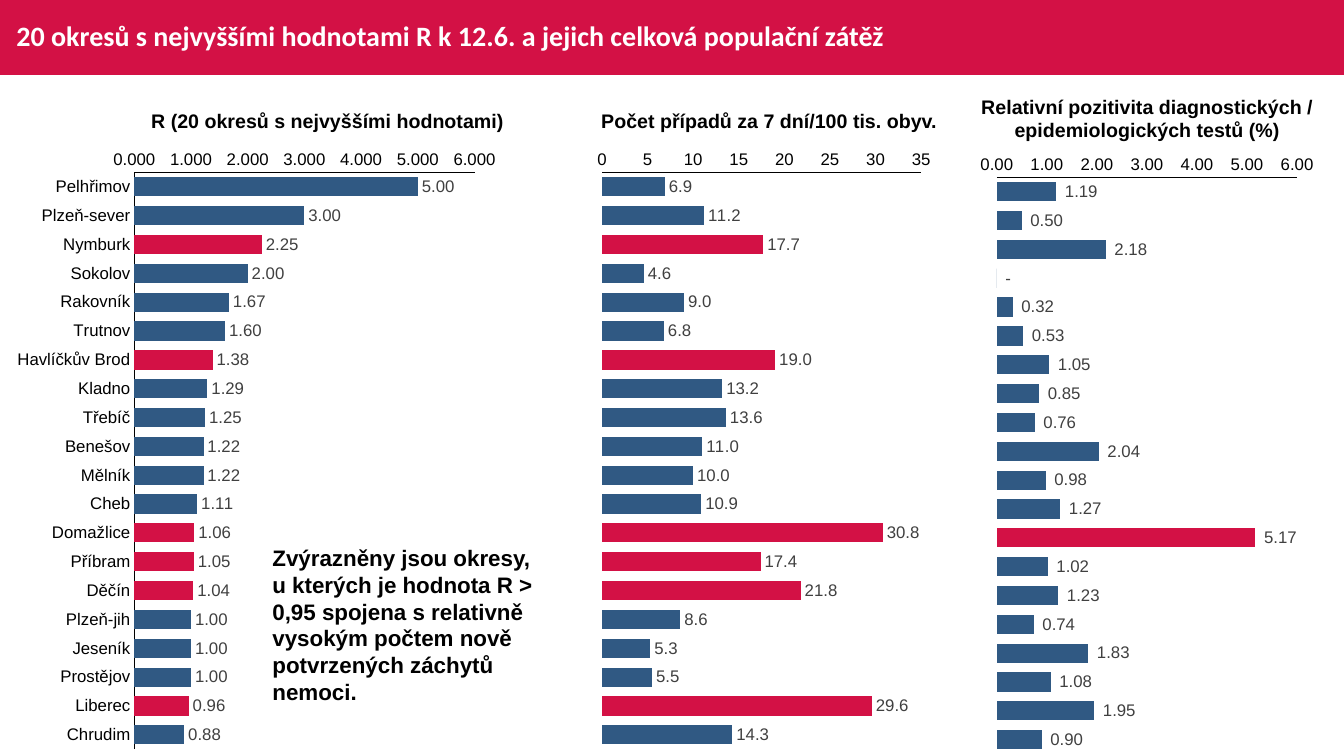
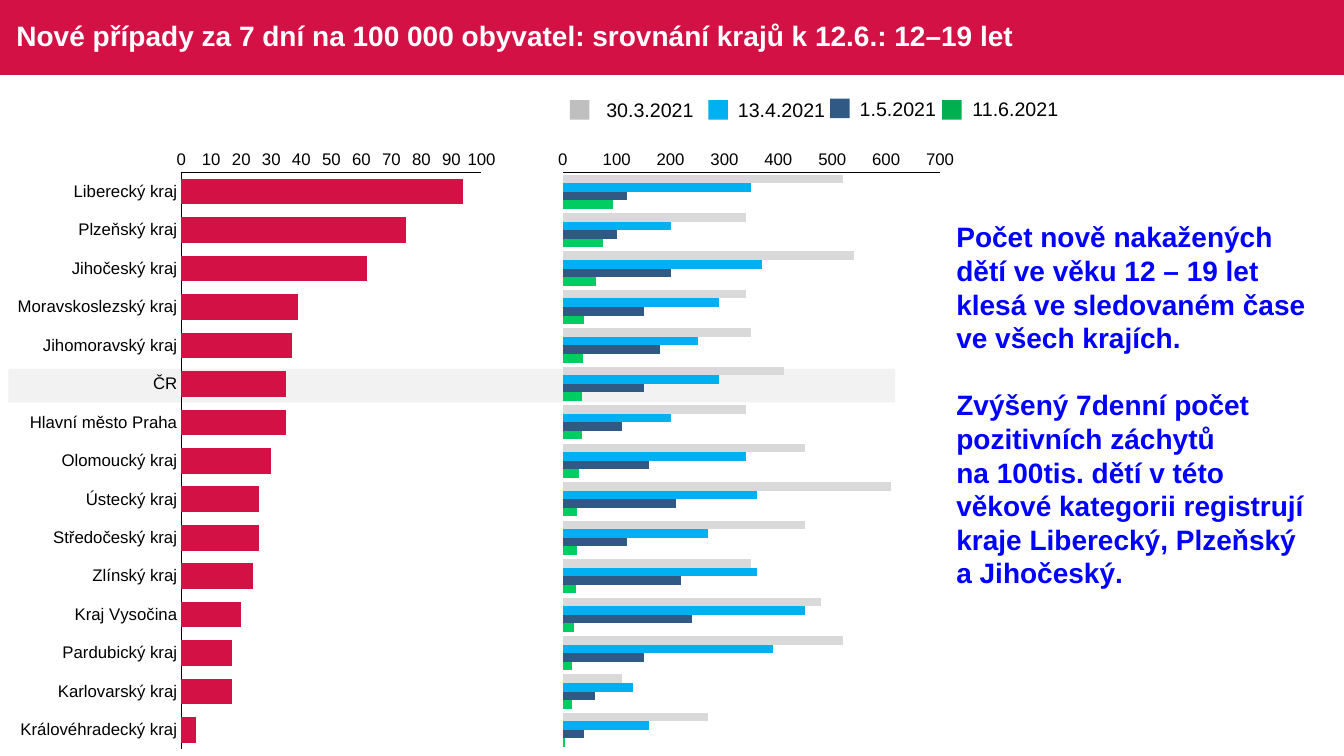
"""Build two slides comparing Czech districts and regions by COVID-19 burden."""
import pptx
import pptx.chart.data
import pptx.dml.color
import pptx.enum.chart
import pptx.enum.shapes
import pptx.enum.text
import pptx.oxml
import pptx.oxml.ns
import pptx.util

Pt = pptx.util.Pt
qn = pptx.oxml.ns.qn
COLORS = {
    name: pptx.dml.color.RGBColor.from_string(value)
    for name, value in {
        "crimson": "D31145", "navy": "305983", "sky": "00B0F0",
        "silver": "D9D9D9", "gray": "BFBFBF", "lime": "00CD61",
        "green": "00B050", "stripe": "F2F2F2", "label": "404040",
        "black": "000000", "white": "FFFFFF", "blue": "0000FF",
    }.items()
}
NS = 'xmlns:c="http://schemas.openxmlformats.org/drawingml/2006/chart"'
NS_A = 'xmlns:a="http://schemas.openxmlformats.org/drawingml/2006/main"'
PLOT_DROP, PLOT_HEIGHT, CHART_HEIGHT = 24.2, 412, 446


def add_text(slide, box, paragraphs, size, color="black", bold=True,
             align="LEFT", wrap=True, gap=0):
    """Add a text box whose paragraphs share one style."""
    frame = slide.shapes.add_textbox(*map(Pt, box)).text_frame
    frame.word_wrap = wrap
    frame.text = "\n".join(paragraphs)
    for index, paragraph in enumerate(frame.paragraphs):
        paragraph.alignment = getattr(pptx.enum.text.PP_ALIGN, align)
        if index and gap:
            paragraph.space_before = Pt(gap)
        paragraph.font.name = "Arial"
        paragraph.font.size = Pt(size)
        paragraph.font.bold = bold
        paragraph.font.color.rgb = COLORS[color]


def add_bars(slide, frame, plot, categories, series, maximum, unit,
             axis_format="General", show_names=True, label_format=None,
             highlights=()):
    """Add a horizontal bar chart; frame is left, top, width, plot is left, width."""
    data = pptx.chart.data.CategoryChartData()
    data.categories = categories
    for name, color, values in series:
        data.add_series(name, values)
    left, top, width = frame
    chart = slide.shapes.add_chart(
        pptx.enum.chart.XL_CHART_TYPE.BAR_CLUSTERED,
        Pt(left), Pt(top), Pt(width), Pt(CHART_HEIGHT), data).chart
    chart.has_legend = False
    chart.has_title = False
    chart.font.name = "Arial"
    chart.font.size = Pt(12)
    chart.font.color.rgb = COLORS["black"]

    for axis in (chart.category_axis, chart.value_axis):
        axis.major_tick_mark = pptx.enum.chart.XL_TICK_MARK.NONE
        axis.minor_tick_mark = pptx.enum.chart.XL_TICK_MARK.NONE
        axis.has_major_gridlines = False
        axis.format.line.color.rgb = COLORS["black"]
        axis.format.line.width = Pt(0.75)
    chart.category_axis.reverse_order = True
    chart.category_axis.visible = show_names
    chart.value_axis.minimum_scale = 0
    chart.value_axis.maximum_scale = maximum
    chart.value_axis.major_unit = unit
    chart.value_axis.tick_labels.number_format = axis_format
    chart.value_axis.tick_labels.number_format_is_linked = False

    bars = chart.plots[0]
    bars.gap_width = 50
    bars.overlap = 0
    bars.vary_by_categories = False
    for bar, (name, color, values) in zip(bars.series, series):
        bar.invert_if_negative = False
        bar.format.fill.solid()
        bar.format.fill.fore_color.rgb = COLORS[color]
        for index in highlights:
            fill = bar.points[index].format.fill
            fill.solid()
            fill.fore_color.rgb = COLORS["crimson"]
        if label_format:
            labels = bar.data_labels
            labels.show_value = True
            labels.number_format = label_format
            labels.number_format_is_linked = False
            labels.position = pptx.enum.chart.XL_LABEL_POSITION.OUTSIDE_END
            labels.font.name = "Arial"
            labels.font.size = Pt(12)
            labels.font.color.rgb = COLORS["label"]

    shares = {
        "x": (plot[0] - left) / width, "y": PLOT_DROP / CHART_HEIGHT,
        "w": plot[1] / width, "h": PLOT_HEIGHT / CHART_HEIGHT,
    }
    layout_parts = "".join(
        f'<c:{key} val="{share:.4f}"/>' for key, share in shares.items())
    chart_body = chart.element.find(qn("c:chart"))
    plot_area = chart_body.find(qn("c:plotArea"))
    for old_layout in plot_area.findall(qn("c:layout")):
        plot_area.remove(old_layout)
    plot_area.insert(0, pptx.oxml.parse_xml(
        f'<c:layout {NS}><c:manualLayout><c:layoutTarget val="inner"/>'
        f'<c:xMode val="edge"/><c:yMode val="edge"/>{layout_parts}'
        '</c:manualLayout></c:layout>'))
    chart_body.addnext(pptx.oxml.parse_xml(
        f'<c:spPr {NS} {NS_A}><a:noFill/><a:ln><a:noFill/></a:ln></c:spPr>'))


deck = pptx.Presentation()
deck.slide_width, deck.slide_height = Pt(960), Pt(540)
title_layout = deck.slide_layouts[5]
heading = title_layout.placeholders[0]
heading.left, heading.top, heading.width, heading.height = map(Pt, (4.5, 0, 865, 53.5))

slides = []
for text, font_name in (
    ("20 okresů s nejvyššími hodnotami R k 12.6. a jejich celková populační zátěž", "Calibri"),
    ("Nové případy za 7 dní na 100 000 obyvatel: srovnání krajů k 12.6.: 12–19 let", "Arial"),
):
    slide = deck.slides.add_slide(title_layout)
    title = slide.shapes.title.text_frame
    title.text = text
    title.auto_size = pptx.enum.text.MSO_AUTO_SIZE.NONE
    title.vertical_anchor = pptx.enum.text.MSO_ANCHOR.MIDDLE
    line = title.paragraphs[0]
    line.alignment = pptx.enum.text.PP_ALIGN.LEFT
    line.line_spacing = 0.9
    line.font.name = font_name
    line.font.size = Pt(20)
    line.font.bold = True
    line.font.color.rgb = COLORS["white"]
    slides.append(slide)
districts_slide, regions_slide = slides

rectangles = [(districts_slide, (0, 0, 960, 53.5), "crimson"),
              (regions_slide, (6, 263.5, 633.5, 24), "stripe")]
legend = [
    ("30.3.2021", "gray", 407, 71.5, 426, 66.5, 77),
    ("13.4.2021", "sky", 506, 71.5, 520, 66.5, 77),
    ("1.5.2021", "navy", 593, 70.5, 607, 65.5, 69),
    ("11.6.2021", "green", 673, 71.5, 687.5, 65.5, 76),
]
for date, color, key_left, key_top, left, top, width in legend:
    rectangles.append((regions_slide, (key_left, key_top, 14, 14), color))
    add_text(regions_slide, (left, top, width, 24.5), [date], 14, bold=False, wrap=False)
drawn = []
for slide, box, color in rectangles:
    rectangle = slide.shapes.add_shape(
        pptx.enum.shapes.MSO_SHAPE.RECTANGLE, *map(Pt, box))
    rectangle.shadow.inherit = False
    rectangle.fill.solid()
    rectangle.fill.fore_color.rgb = COLORS[color]
    rectangle.line.fill.background()
    drawn.append(rectangle)
title_band = drawn[0].element
title_band.nvSpPr.cNvPr.set("id", "99")
deck.slide_master.shapes.element.insert(2, title_band)

districts = [
    "Pelhřimov", "Plzeň-sever", "Nymburk", "Sokolov", "Rakovník", "Trutnov",
    "Havlíčkův Brod", "Kladno", "Třebíč", "Benešov", "Mělník", "Cheb",
    "Domažlice", "Příbram", "Děčín", "Plzeň-jih", "Jeseník", "Prostějov",
    "Liberec", "Chrudim",
]
reproduction = [5, 3, 2.25, 2, 1.67, 1.6, 1.38, 1.29, 1.25, 1.22,
                1.22, 1.11, 1.06, 1.05, 1.04, 1, 1, 1, 0.96, 0.88]
incidence = [6.9, 11.2, 17.7, 4.6, 9, 6.8, 19, 13.2, 13.6, 11,
             10, 10.9, 30.8, 17.4, 21.8, 8.6, 5.3, 5.5, 29.6, 14.3]
positivity = [1.19, 0.5, 2.18, 0, 0.32, 0.53, 1.05, 0.85, 0.76, 2.04,
              0.98, 1.27, 5.17, 1.02, 1.23, 0.74, 1.83, 1.08, 1.95, 0.9]
burdened = [2, 6, 12, 13, 14, 18]
dash_format = r'_(* #,##0.00_);_(* \(#,##0.00\);_(* "-"??_);_(@_)'
for (name, title_box, wrap, frame, plot, values, maximum, unit, axis_format,
     label_format, highlights) in (
    ("R (20 okresů s nejvyššími hodnotami)", (98.5, 74, 271, 24.5), False,
     (6, 99, 356), (96, 243), reproduction, 6, 1, "0.000", "#,##0.00", burdened),
    ("Počet případů za 7 dní/100 tis. obyv.", (422, 74, 255, 24.5), False,
     (422, 99, 248), (430, 228), incidence, 35, 5, "General", "#,##0.0", burdened),
    ("Relativní pozitivita diagnostických / epidemiologických testů (%)",
     (684, 64, 271, 41), True,
     (695.5, 102.5, 248), (712, 214.5), positivity, 6, 1, "#,##0.00", dash_format, [12]),
):
    add_bars(districts_slide, frame, plot, districts, [(name, "navy", values)],
             maximum, unit, axis_format, values is reproduction, label_format, highlights)
    add_text(districts_slide, title_box, [name], 14, align="CENTER", wrap=wrap)
add_text(districts_slide, (187.5, 385, 235, 124), [
    "Zvýrazněny jsou okresy,",
    "u kterých je hodnota R > 0,95 spojena s relativně vysokým počtem nově "
    "potvrzených záchytů nemoci.",
], 16)

regions = [
    "Liberecký kraj", "Plzeňský kraj", "Jihočeský kraj", "Moravskoslezský kraj",
    "Jihomoravský kraj", "ČR", "Hlavní město Praha", "Olomoucký kraj",
    "Ústecký kraj", "Středočeský kraj", "Zlínský kraj", "Kraj Vysočina",
    "Pardubický kraj", "Karlovarský kraj", "Královéhradecký kraj",
]
latest = [94, 75, 62, 39, 37, 35, 35, 30, 26, 26, 24, 20, 17, 17, 5]
history = [
    ("30.3.2021", "silver",
     [520, 340, 540, 340, 350, 410, 340, 450, 610, 450, 350, 480, 520, 110, 270]),
    ("13.4.2021", "sky",
     [350, 200, 370, 290, 250, 290, 200, 340, 360, 270, 360, 450, 390, 130, 160]),
    ("1.5.2021", "navy",
     [120, 100, 200, 150, 180, 150, 110, 160, 210, 120, 220, 240, 150, 60, 40]),
    ("11.6.2021", "lime", latest),
]
add_bars(regions_slide, (393, 99, 294.5), (402, 269.5), regions, history,
         700, 100, show_names=False)
add_bars(regions_slide, (6, 99, 356), (129.5, 214.5), regions,
         [("11.6.2021", "crimson", latest)], 100, 10)
add_text(regions_slide, (676, 153.5, 270, 273.5), [
    "Počet nově nakažených dětí ve věku 12 – 19 let klesá ve sledovaném čase "
    "ve všech krajích.",
    "Zvýšený 7denní počet pozitivních záchytů\vna 100tis. dětí v této věkové "
    "kategorii registrují kraje Liberecký, Plzeňský a Jihočeský.",
], 20, color="blue", gap=24)

deck.save("out.pptx")
